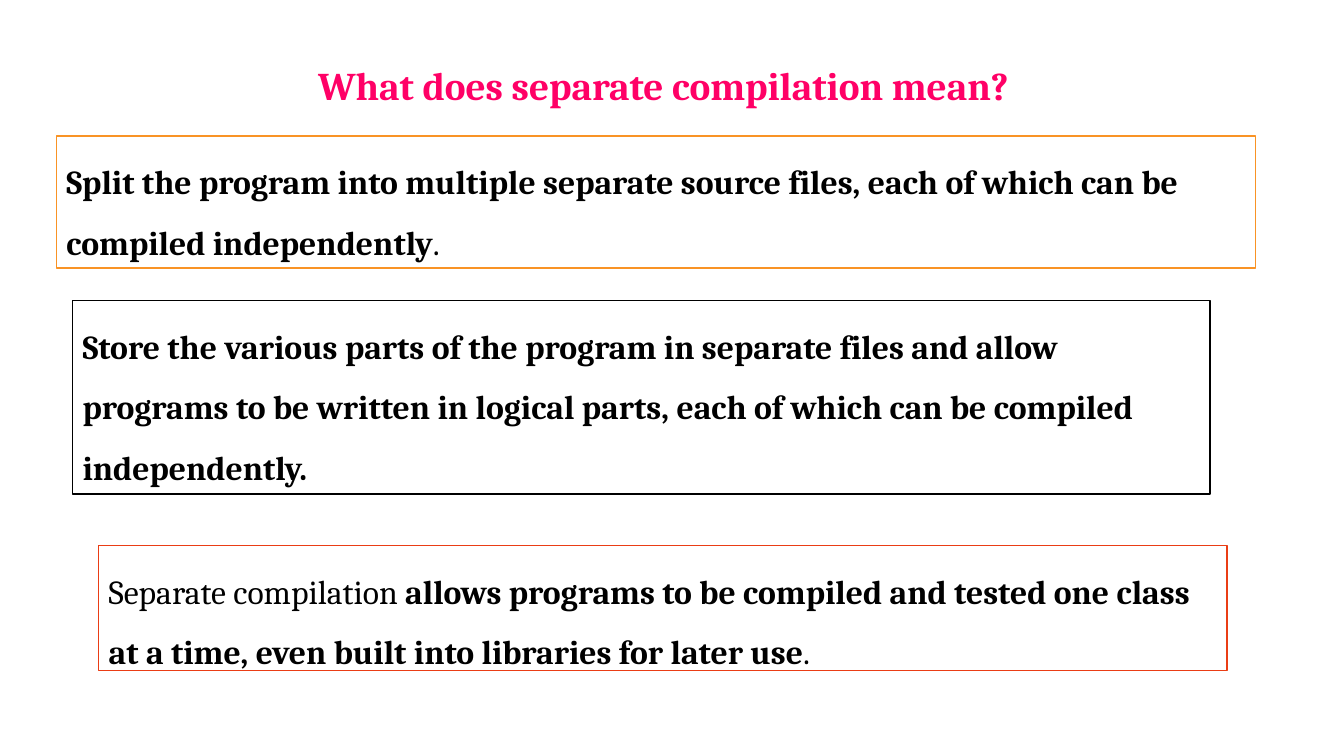
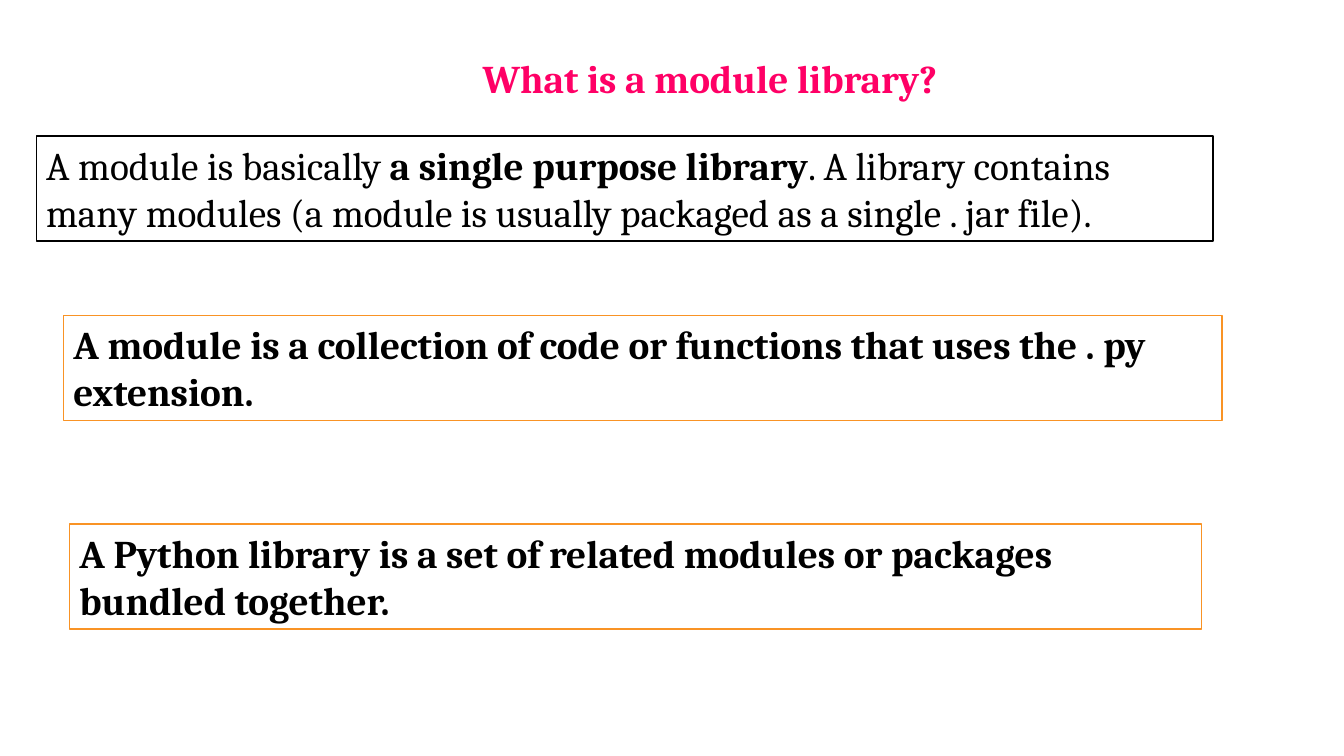
from pptx import Presentation, util as u
from pptx.dml.color import RGBColor
from pptx.enum import shapes, text

FONT = "Cambria"
PINK, BLACK, WHITE = "FF0066", "000000", "FFFFFF"
ORANGE, RED = "F99325", "EA3D15"


def color(hex_code):
    """Turn a hex string into a colour."""
    return RGBColor.from_string(hex_code)


def write(frame, runs, size=28, ink=BLACK, align=text.PP_ALIGN.LEFT, spacing=None):
    """Fill a frame with one paragraph of (wording, bold) runs."""
    frame.word_wrap = True
    frame.auto_size = text.MSO_AUTO_SIZE.NONE
    frame.vertical_anchor = text.MSO_ANCHOR.TOP
    paragraph = frame.paragraphs[0]
    paragraph.alignment = align
    paragraph.line_spacing = spacing
    for wording, bold in runs:
        run = paragraph.add_run()
        run.text = wording
        run.font.name = FONT
        run.font.size = u.Pt(size)
        run.font.bold = bold
        run.font.color.rgb = color(ink)


class Deck:
    """Hold the presentation, its style and the current slide."""

    def __init__(self):
        """Start an empty widescreen presentation."""
        self.show = Presentation()
        self.show.slide_width = u.Inches(13.33)
        self.show.slide_height = u.Inches(7.5)
        self.slide = None

    def new_slide(self):
        """Add a blank slide and make it current."""
        self.slide = self.show.slides.add_slide(self.show.slide_layouts[6])

    def heading(self, wording, left, top, width):
        """Add the centred pink question."""
        question = self.slide.shapes.add_textbox(*map(u.Inches, (left, top, width, 0.57)))
        write(question.text_frame, [(wording, True)], ink=PINK, align=text.PP_ALIGN.CENTER)

    def answer(self, runs, place, outline, **style):
        """Add a white outlined box with an answer."""
        panel = self.slide.shapes.add_shape(
            shapes.MSO_SHAPE.RECTANGLE, *map(u.Inches, place))
        panel.shadow.inherit = False
        panel.fill.solid()
        panel.fill.fore_color.rgb = color(WHITE)
        panel.line.color.rgb = color(outline)
        panel.line.width = u.Pt(1)
        write(panel.text_frame, runs, **style)


def compilation_slide(deck):
    """Build the slide on separate compilation."""
    deck.new_slide()
    deck.heading("What does separate compilation mean?", 1.91, 0.56, 9.34)
    answers = [
        ([("Split the program into multiple separate source files, each of which "
           "can be compiled independently", True), (".", False)],
         (0.56, 1.35, 11.89, 1.31), ORANGE),
        ([("Store the various parts of the program in separate files and allow "
           "programs to be written in logical parts, each of which can be compiled "
           "independently.", True)],
         (0.72, 2.98, 11.28, 1.92), BLACK),
        ([("Separate compilation ", False),
          ("allows programs to be compiled and tested one class at a time, even "
           "built into libraries for later use", True), (".", False)],
         (0.98, 5.41, 11.19, 1.24), RED),
    ]
    for runs, place, outline in answers:
        deck.answer(runs, place, outline, size=24, spacing=1.5)


def library_slide(deck):
    """Build the slide on module libraries."""
    deck.new_slide()
    deck.heading("What is a module library?", 3.95, 0.49, 6.18)
    answers = [
        ([("A module is basically ", False), ("a single purpose library", True),
          (". A library contains many modules (a module is usually packaged as a "
           "single . jar file). ", False)],
         (0.36, 1.35, 11.67), BLACK),
        ([("A module is a collection of code or functions that uses the . py "
           "extension.", True)],
         (0.63, 3.13, 11.49), ORANGE),
        ([("A Python library is a set of related modules or packages bundled "
           "together.", True)],
         (0.69, 5.2, 11.23), ORANGE),
    ]
    for runs, place, outline in answers:
        deck.answer(runs, (*place, 1.04), outline)


def main():
    """Build and save the presentation."""
    deck = Deck()
    compilation_slide(deck)
    library_slide(deck)
    deck.show.save("out.pptx")


if __name__ == "__main__":
    main()
